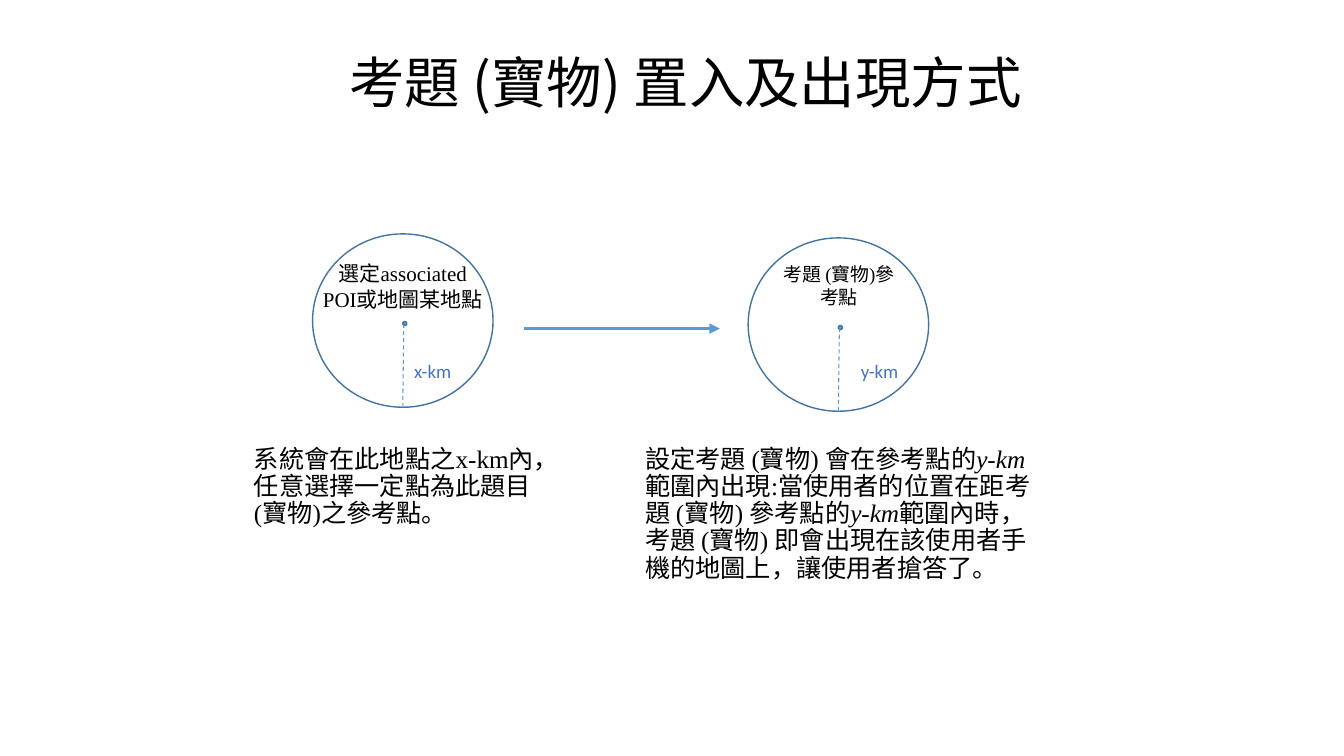
import dataclasses
import typing

import lxml.etree
import pptx
import pptx.dml.color
import pptx.enum.dml
import pptx.enum.shapes
import pptx.enum.text
import pptx.oxml.ns
import pptx.util

Inches = pptx.util.Inches
COLORS = {"ink": "000000", "edge": "43739E", "blue": "5B9BD5", "label": "4472C4"}
SERIF = "Times New Roman"
HAN = "Noto Sans CJK TC"


@dataclasses.dataclass
class Run:
    text: str
    font: str = SERIF
    italic: bool = False


@dataclasses.dataclass
class Zone:
    left: float
    top: float
    label: str
    label_left: float


ZONES = [Zone(3.1, 2.32, "x-km", 4.01), Zone(7.42, 2.36, "y-km", 8.44)]
WIDTH, HEIGHT, DOT = 1.79, 1.72, 0.04


def color(name: str) -> pptx.dml.color.RGBColor:
    return pptx.dml.color.RGBColor.from_string(COLORS[name])


def add_text(slide: typing.Any, box: tuple, runs: list[Run], *, size: float,
             ink: str = "ink", center: bool = False, middle: bool = False,
             spacing: float = 1.0, han: str = HAN) -> None:
    frame = slide.shapes.add_textbox(*map(Inches, box)).text_frame
    frame.word_wrap = True
    if middle:
        frame.vertical_anchor = pptx.enum.text.MSO_ANCHOR.MIDDLE
    para = frame.paragraphs[0]
    para.line_spacing = spacing
    if center:
        para.alignment = pptx.enum.text.PP_ALIGN.CENTER
    for run in runs:
        part = para.add_run()
        part.text = run.text
        font = part.font
        font.size = pptx.util.Pt(size)
        font.name = run.font
        font.italic = run.italic
        font.color.rgb = color(ink)
        east = lxml.etree.SubElement(part._r.rPr, pptx.oxml.ns.qn("a:ea"))
        east.set("typeface", han)


def add_oval(slide: typing.Any, box: tuple, fill: str | None = None) -> None:
    oval = slide.shapes.add_shape(
        pptx.enum.shapes.MSO_SHAPE.OVAL, *map(Inches, box))
    oval.shadow.inherit = False
    if fill:
        oval.fill.solid()
        oval.fill.fore_color.rgb = color(fill)
    else:
        oval.fill.background()
    oval.line.color.rgb = color("edge")
    oval.line.width = pptx.util.Pt(1)


def add_line(slide: typing.Any, start: tuple, end: tuple, width: float, *,
             dash: bool = False, arrow: bool = False) -> None:
    link = slide.shapes.add_connector(
        pptx.enum.shapes.MSO_CONNECTOR.STRAIGHT, *map(Inches, start + end))
    link.line.color.rgb = color("blue")
    link.line.width = pptx.util.Pt(width)
    if dash:
        link.line.dash_style = pptx.enum.dml.MSO_LINE.DASH
    if arrow:
        tail = lxml.etree.SubElement(
            link.line._get_or_add_ln(), pptx.oxml.ns.qn("a:tailEnd"))
        tail.set("type", "triangle")
    lxml.etree.SubElement(link._element.spPr, pptx.oxml.ns.qn("a:effectLst"))


def add_zone(slide: typing.Any, zone: Zone) -> None:
    mid = zone.left + WIDTH / 2
    dot_top = zone.top + 0.87
    add_oval(slide, (zone.left, zone.top, WIDTH, HEIGHT))
    add_oval(slide, (mid, dot_top, DOT, DOT), "blue")
    add_line(slide, (mid, zone.top + HEIGHT), (mid + 0.01, dot_top + 0.03),
             0.75, dash=True)
    add_text(slide, (zone.label_left, 3.52, 0.57, 0.56),
             [Run(zone.label, "Calibri")], size=13.5, ink="label")


def main() -> None:
    deck = pptx.Presentation()
    deck.slide_width = Inches(13.33)
    deck.slide_height = Inches(7.5)
    slide = deck.slides.add_slide(deck.slide_layouts[6])

    sans = "Noto Sans CJK SC"
    add_text(slide, (2.49, 0.5, 8.62, 0.7), [Run("考題 (寶物) 置入及出現方式", sans)],
             size=39.6, center=True, middle=True, spacing=0.9, han=sans)
    add_text(slide, (2.42, 4.38, 3.05, 1.29), [
        Run("系統會在此地點之x-km內"),
        Run("，", HAN),
        Run("任意選擇一定點為此題目 (寶物)之參考點。"),
    ], size=18, spacing=0.9)
    add_text(slide, (6.3, 4.38, 4.02, 1.83), [
        Run("設定考題 (寶物) 會在參考點的"),
        Run("y-km", italic=True),
        Run("範圍內出現:當使用者的位置在距考題 (寶物) 參考點的"),
        Run("y-km", italic=True),
        Run("範圍內時，考題 (寶物) 即會出現在該使用者手機的地圖上，讓使用者搶答了。"),
    ], size=18, spacing=0.9)

    for zone in ZONES:
        add_zone(slide, zone)
    add_line(slide, (5.2, 3.26), (7.14, 3.26), 2.5, arrow=True)
    add_text(slide, (3.1, 2.54, WIDTH, 0.86),
             [Run("選定associated POI或地圖某地點")], size=15, center=True)
    add_text(slide, (7.67, 2.56, 1.3, 0.56),
             [Run("考題 (寶物)參考點")], size=13.5, center=True)
    deck.save("out.pptx")


if __name__ == "__main__":
    main()
